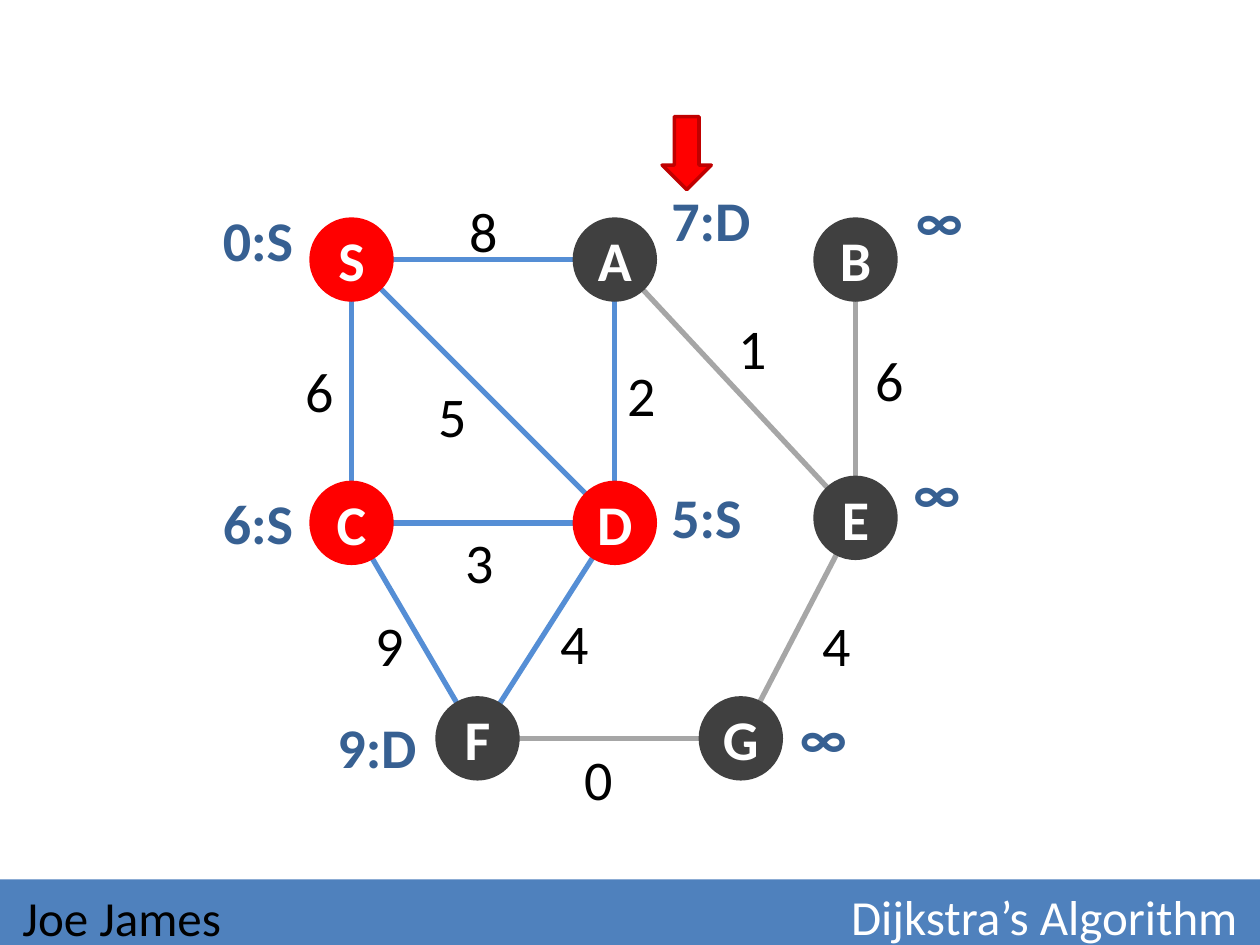
from lxml import etree
from pptx import Presentation
from pptx.dml.color import RGBColor
from pptx.enum.shapes import MSO_CONNECTOR, MSO_SHAPE
from pptx.enum.text import MSO_ANCHOR, PP_ALIGN
from pptx.oxml.ns import qn
from pptx.util import Inches, Pt

LINE = MSO_CONNECTOR.STRAIGHT
CIRCLE, BAR, ARROW = MSO_SHAPE.OVAL, MSO_SHAPE.RECTANGLE, MSO_SHAPE.RIGHT_ARROW
LEFT, CENTER, RIGHT = PP_ALIGN.LEFT, PP_ALIGN.CENTER, PP_ALIGN.RIGHT
TOP, MIDDLE = MSO_ANCHOR.TOP, MSO_ANCHOR.MIDDLE
WIDTH, HEIGHT = 10, 7.5
FOOTER_TOP = 6.98


def color(value):
    return RGBColor.from_string(value)


def write(frame, text, size=32, ink="000000", bold=False, align=LEFT,
          anchor=TOP, wrap=True, margin=None):
    frame.word_wrap = wrap
    frame.vertical_anchor = anchor
    if margin is not None:
        frame.margin_left = frame.margin_right = Inches(margin)
        frame.margin_top = frame.margin_bottom = Inches(margin)
    para = frame.paragraphs[0]
    para.alignment = align
    span = para.add_run()
    span.text = text
    span.font.name = "Calibri"
    span.font.size = Pt(size)
    span.font.bold = bold
    span.font.color.rgb = color(ink)


class GraphPage:
    diameter = 0.67
    label_height = 0.64
    seen, unseen = "558ED5", "A6A6A6"
    visited, waiting = "FF0000", "404040"
    distance_ink = "376092"

    def __init__(self, deck):
        self.page = deck.slides.add_slide(deck.slide_layouts[5])
        self.shapes = self.page.shapes

    def title(self, text, left, top, width, height):
        box = self.shapes.title
        box.left, box.top = Inches(left), Inches(top)
        box.width, box.height = Inches(width), Inches(height)
        write(box.text_frame, text, size=28, ink="FFFFFF", align=RIGHT, anchor=MIDDLE)

    def shape(self, kind, left, top, width, height, fill, outline=None):
        shape = self.shapes.add_shape(
            kind, Inches(left), Inches(top), Inches(width), Inches(height))
        shape.shadow.inherit = False
        shape.fill.solid()
        shape.fill.fore_color.rgb = color(fill)
        if outline:
            shape.line.color.rgb = color(outline)
            shape.line.width = Pt(2)
        else:
            shape.line.fill.background()
        return shape

    def footer_bar(self):
        bar = self.shape(BAR, 0, FOOTER_TOP, WIDTH, HEIGHT - FOOTER_TOP, "4F81BD")
        self.shapes.title.element.addprevious(bar.element)

    def label(self, text, left, top, width, height=label_height, **style):
        box = self.shapes.add_textbox(
            Inches(left), Inches(top), Inches(width), Inches(height))
        write(box.text_frame, text, **style)

    def edge(self, start, end, known):
        line = self.shapes.add_connector(LINE, *map(Inches, start + end))
        line.line.color.rgb = color(self.seen if known else self.unseen)
        line.line.width = Pt(3)
        etree.SubElement(line.element.spPr, qn("a:effectLst"))

    def node(self, name, center, done):
        x, y = center
        radius = self.diameter / 2
        circle = self.shape(CIRCLE, x - radius, y - radius, self.diameter,
                            self.diameter, self.visited if done else self.waiting)
        write(circle.text_frame, name, ink="FFFFFF", bold=True, align=CENTER,
              anchor=MIDDLE, wrap=False, margin=0)


NODES = {
    "S": (2.79, 2.06), "A": (4.88, 2.06), "B": (6.79, 2.06),
    "C": (2.79, 4.15), "D": (4.88, 4.15), "E": (6.79, 4.11),
    "F": (3.79, 5.86), "G": (5.88, 5.86),
}
VISITED = "SCD"
EDGES = [
    ("SA", 8, 3.63, 1.51), ("AD", 2, 4.88, 2.81), ("SD", 5, 3.38, 2.98),
    ("SC", 6, 2.33, 2.78), ("CD", 3, 3.6, 4.14), ("AE", 1, 5.76, 2.44),
    ("BE", 6, 6.85, 2.69), ("CF", 9, 2.88, 4.8), ("EG", 4, 6.43, 4.8),
    ("FG", 0, 4.54, 5.86), ("DF", 4, 4.35, 4.78),
]
DISTANCES = [
    ("0:S", 1.67, 1.58), ("7:D", 5.23, 1.42), ("∞", 7.17, 1.42),
    ("6:S", 1.67, 3.83), ("5:S", 5.23, 3.78), ("∞", 7.15, 3.58),
    ("9:D", 2.58, 5.61), ("∞", 6.25, 5.53),
]

deck = Presentation()
deck.slide_width, deck.slide_height = Inches(WIDTH), Inches(HEIGHT)
graph = GraphPage(deck)
graph.title("Dijkstra’s Algorithm", 3, FOOTER_TOP, 6.92, 0.58)
graph.footer_bar()
graph.label("Joe James", 0.08, FOOTER_TOP, 2.92, 0.6, size=28, anchor=MIDDLE)

for ends, weight, left, top in EDGES:
    known = any(name in VISITED for name in ends)
    graph.edge(NODES[ends[0]], NODES[ends[1]], known)
for ends, weight, left, top in EDGES:
    graph.label(str(weight), left, top, 0.53)
for name, center in NODES.items():
    graph.node(name, center, name in VISITED)
for text, left, top in DISTANCES:
    graph.label(text, left, top, 1.27, ink=graph.distance_ink, bold=True)

pointer = graph.shape(ARROW, 5.16, 1.02, 0.58, 0.39, "FF0000", "C00000")
pointer.rotation = 90
deck.save("out.pptx")
